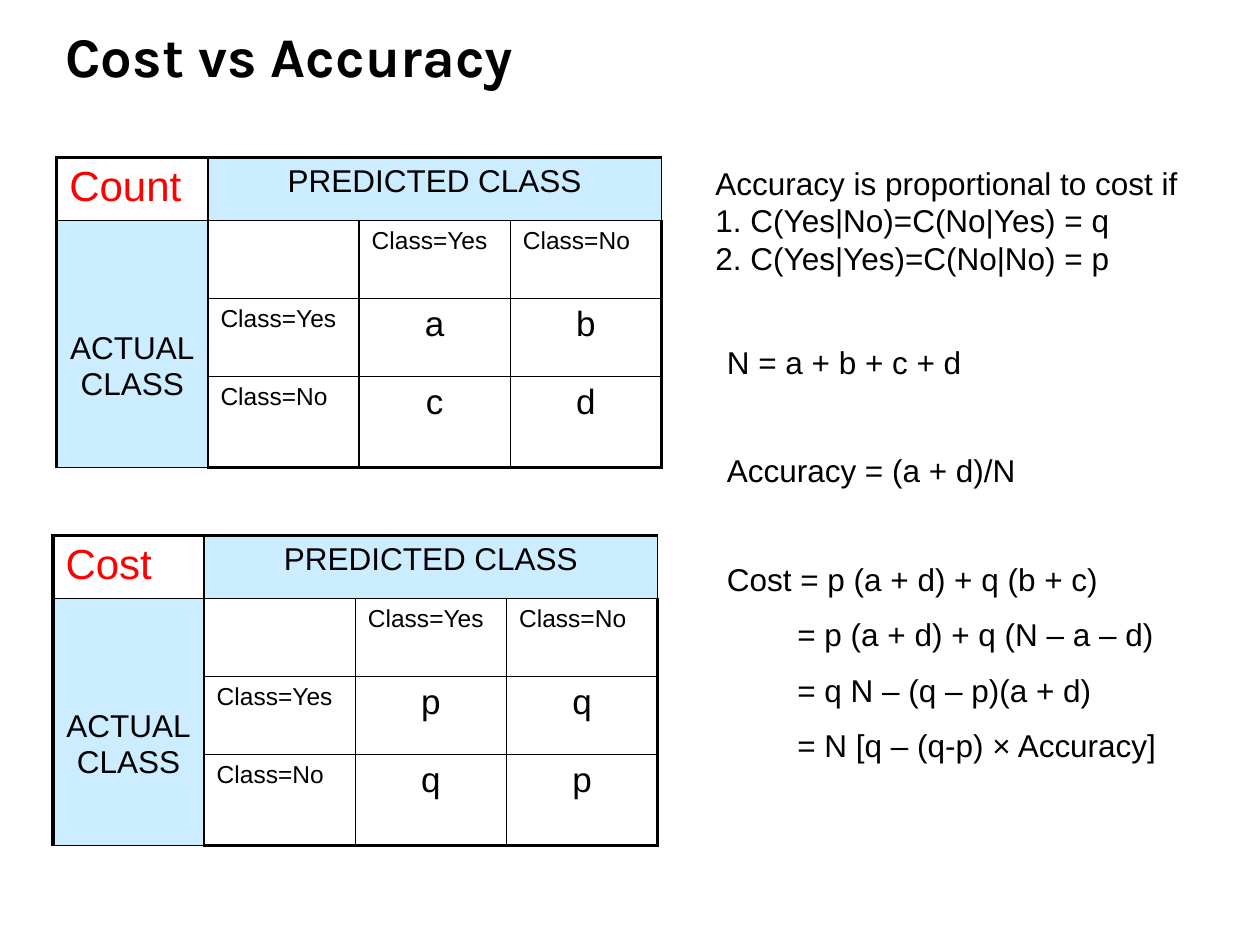
"""Build the Cost vs Accuracy slide with two confusion matrices and a derivation."""
from lxml import etree
from pptx import Presentation
from pptx.dml.color import RGBColor
from pptx.enum.text import MSO_ANCHOR, PP_ALIGN
from pptx.oxml.ns import qn
from pptx.util import Inches, Pt

LEFT, MID = PP_ALIGN.LEFT, PP_ALIGN.CENTER
BOTTOM = MSO_ANCHOR.BOTTOM
HUES = {"ink": "000000", "red": "FF0000", "pale": "CCECFF"}


def style(para, size, hue="ink", face="Arial", align=LEFT):
    para.alignment = align
    para.font.size = Pt(size)
    para.font.name = face
    para.font.color.rgb = RGBColor.from_string(HUES[hue])


def add_box(left, top, width, height):
    box = slide.shapes.add_textbox(Inches(left), Inches(top), Inches(width), Inches(height))
    box.text_frame.word_wrap = True
    return box.text_frame


deck = Presentation()
deck.slide_width, deck.slide_height = Inches(10), Inches(7.5)
slide = deck.slides.add_slide(deck.slide_layouts[6])

title = add_box(0.42, 0.17, 9.06, 0.58)
title.vertical_anchor = BOTTOM
head = title.paragraphs[0]
head.text = "Cost vs Accuracy"
style(head, 32, face="Karla")
head.font.bold = True
head.line_spacing = Pt(36)

rows = [0.49, 0.62, 0.62, 0.72]
grids = [("Count", 0.45, 1.25, "abcd"), ("Cost", 0.42, 4.25, "pqqp")]
for name, left, top, vals in grids:
    frame = slide.shapes.add_table(4, 4, Inches(left), Inches(top), Inches(4.8), Inches(sum(rows)))
    grid = frame.table
    grid.first_row = grid.horz_banding = False
    for col in grid.columns:
        col.width = Inches(1.2)
    for row, high in zip(grid.rows, rows):
        row.height = Inches(high)
    grid.cell(0, 1).merge(grid.cell(0, 3))
    grid.cell(1, 0).merge(grid.cell(3, 0))

    words = {
        (0, 0): (name, 24, "red", LEFT),
        (0, 1): ("PREDICTED CLASS", 18, "ink", MID),
        (1, 0): ("ACTUAL\vCLASS", 18, "ink", MID),
    }
    for i, label in enumerate(["Class=Yes", "Class=No"]):
        words[1, i + 2] = words[i + 2, 1] = (label, 14, "ink", LEFT)
        for j in range(2):
            words[i + 2, j + 2] = (vals[2 * i + j], 20, "ink", MID)

    for r in range(4):
        for c in range(4):
            cell = grid.cell(r, c)
            props = cell._tc.get_or_add_tcPr()
            edges = {"L": c == 0, "R": c == 3, "T": r == 0, "B": r == 3}
            for side, outer in edges.items():
                line = etree.SubElement(props, qn("a:ln" + side), w=str(Pt(2.25 if outer else 1)))
                fill = etree.SubElement(line, qn("a:solidFill"))
                etree.SubElement(fill, qn("a:srgbClr"), val=HUES["ink"])
            if (r == 0) != (c == 0):
                cell.fill.solid()
                cell.fill.fore_color.rgb = RGBColor.from_string(HUES["pale"])
            else:
                cell.fill.background()
            if (r, c) in words:
                text, size, hue, align = words[r, c]
                cell.text = text
                style(cell.text_frame.paragraphs[0], size, hue, align=align)
    grid.cell(1, 0).margin_top = Inches(0.88)

steps = [
    ("N = a + b + c + d", 0, 0),
    ("Accuracy = (a + d)/N", 40.5, 0),
    ("Cost = p (a + d) + q (b + c)", 40.5, 0),
    ("= p (a + d) + q (N – a – d)", 10, 0.56),
    ("= q N – (q – p)(a + d)", 10, 0.56),
    ("= N [q – (q-p) × Accuracy]", 10, 0.56),
]
proof = add_box(5.67, 2.67, 3.92, 4.01)
for i, (text, gap, dent) in enumerate(steps):
    para = proof.add_paragraph() if i else proof.paragraphs[0]
    para.text = text
    style(para, 18)
    para.space_before = Pt(gap)
    para._p.get_or_add_pPr().set("marL", str(Inches(dent)))

rule = add_box(5.58, 1.25, 4.08, 1).paragraphs[0]
rule.text = "Accuracy is proportional to cost if\v1. C(Yes|No)=C(No|Yes) = q\v2. C(Yes|Yes)=C(No|No) = p"
style(rule, 18)

deck.save("out.pptx")
